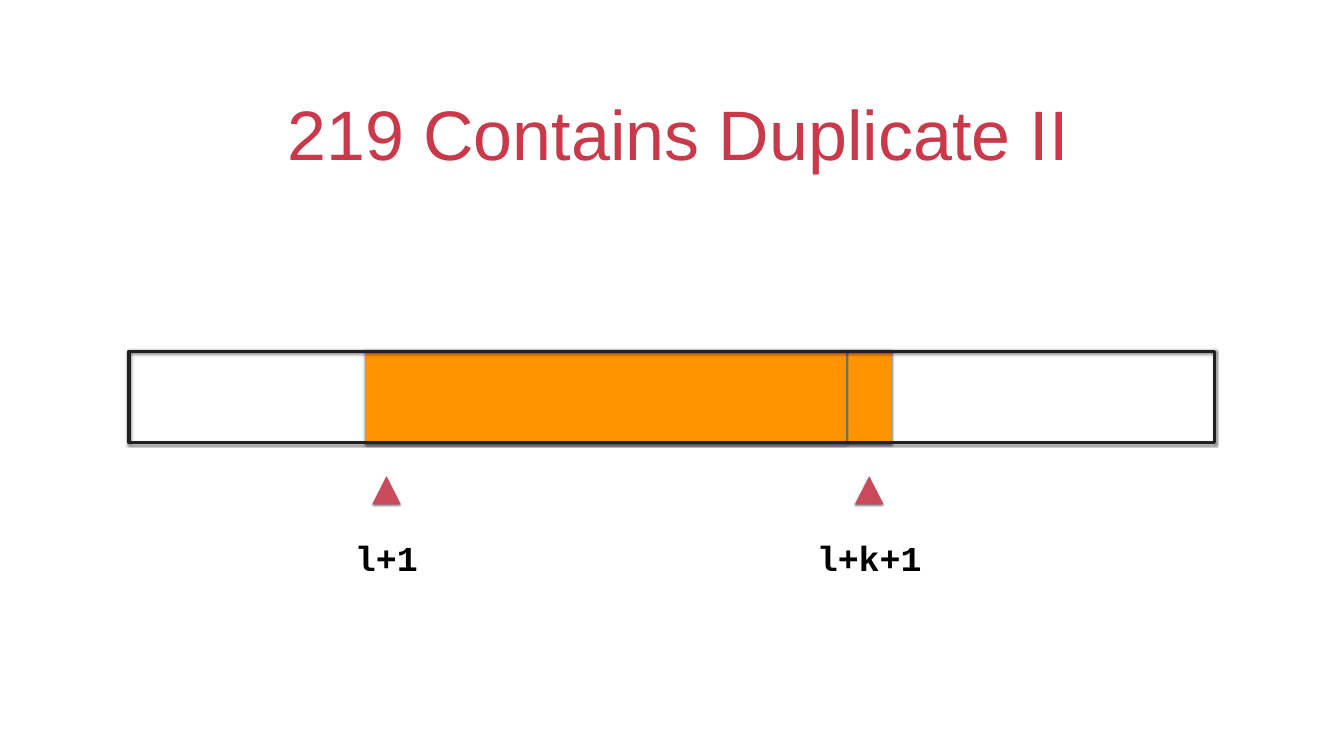
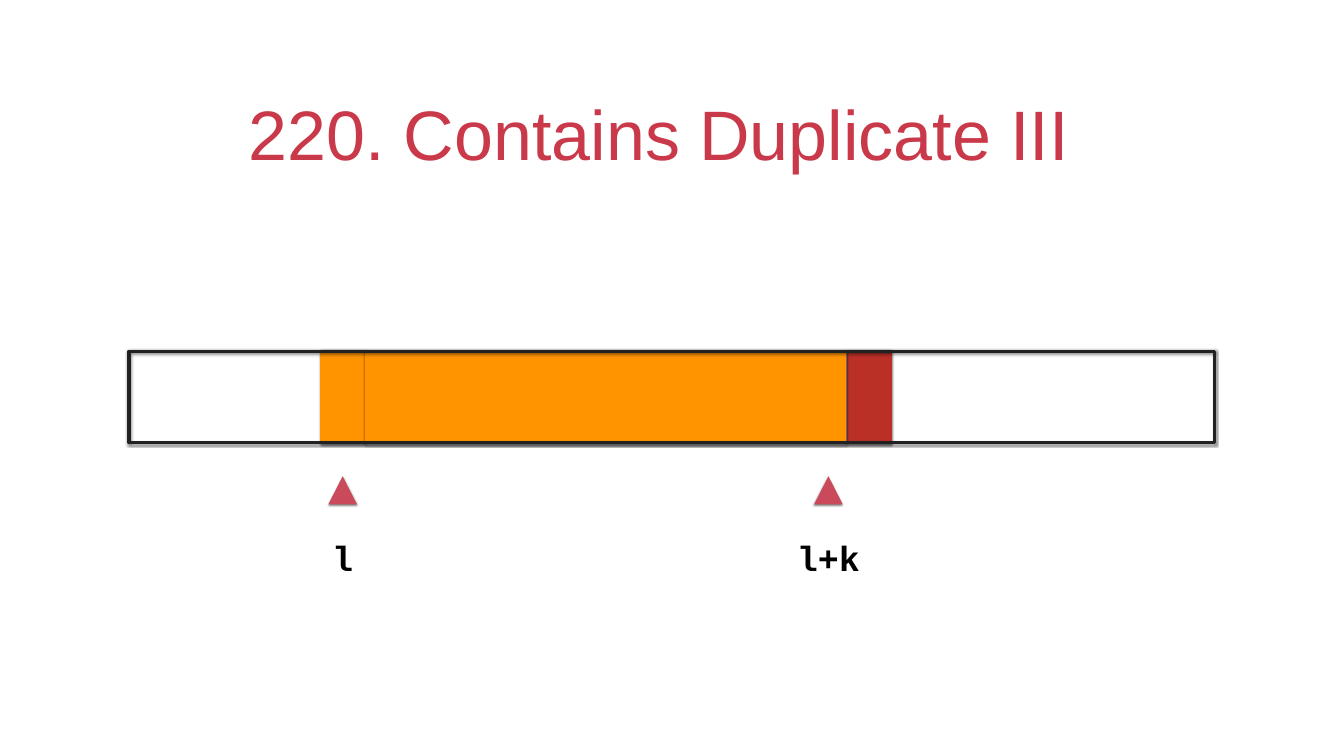
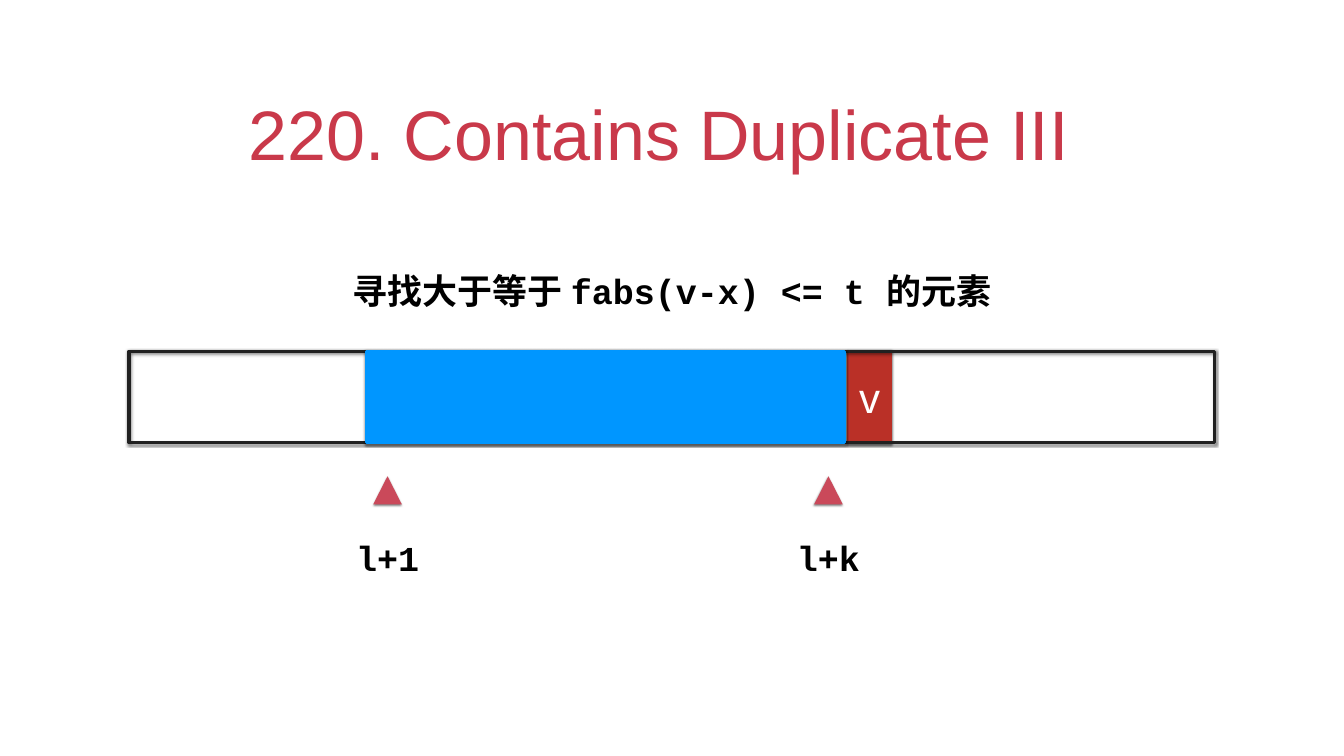
"""Build three sliding-window slides for the Contains Duplicate problems."""
from dataclasses import dataclass

from lxml import etree
from pptx import Presentation
from pptx.dml.color import RGBColor
from pptx.enum import shapes, text
from pptx.oxml import ns
from pptx.util import Inches, Pt


@dataclass(frozen=True)
class Theme:
    title: str = "C9394A"
    marker: str = "CA495A"
    frame: str = "212121"
    orange: str = "FF9300"
    red: str = "BA3027"
    blue: str = "0096FF"
    black: str = "000000"
    white: str = "FFFFFF"
    sans: str = "Arial"
    mono: str = "Courier New"
    title_size: int = 100
    value_size: int = 60
    label_size: int = 50
    line_width: int = 5
    inset: float = 0.06


theme = Theme()


def add_block(parent, kind, box, fill=None, line=None):
    """Add a preset shape with the shared soft shadow."""
    block = parent.add_shape(kind, *map(Inches, box))
    if fill:
        block.fill.solid()
        block.fill.fore_color.rgb = RGBColor.from_string(fill)
    else:
        block.fill.background()
    if line:
        block.line.color.rgb = RGBColor.from_string(line)
        block.line.width = Pt(theme.line_width)
    else:
        block.line.fill.background()
    block.shadow.inherit = False
    effects = block._element.spPr.find(ns.qn("a:effectLst"))
    shadow = etree.SubElement(effects, ns.qn("a:outerShdw"), blurRad=str(Pt(3)),
                              dist=str(Pt(2)), dir="5400000", rotWithShape="0")
    color = etree.SubElement(shadow, ns.qn("a:srgbClr"), val=theme.black)
    etree.SubElement(color, ns.qn("a:alpha"), val="50000")
    return block


def write(frame, words, font, size, color, bold=False, wrap=True,
          anchor=text.MSO_ANCHOR.MIDDLE, fit=text.MSO_AUTO_SIZE.NONE):
    """Fill a text frame with one centred paragraph."""
    frame.text = words
    frame.word_wrap = wrap
    frame.auto_size = fit
    frame.vertical_anchor = anchor
    frame.margin_left = frame.margin_right = Inches(theme.inset)
    frame.margin_top = frame.margin_bottom = Inches(theme.inset)
    paragraph = frame.paragraphs[0]
    paragraph.alignment = text.PP_ALIGN.CENTER
    run_font = paragraph.runs[0].font
    run_font.name, run_font.size, run_font.bold = font, Pt(size), bold
    run_font.color.rgb = RGBColor.from_string(color)


row_top, row_height = 6.97, 1.81
array_box = (2.56, row_top, 21.54, row_height)
leaving_box = (6.39, row_top, 0.83, row_height)
window_box = (7.27, row_top, 9.49, row_height)
entering_box = (16.84, row_top, 0.83, row_height)
title_left_inset = 0.31
pointer_width, pointer_height = 0.57, 0.56
character_width = 0.42

steps = [
    dict(title="219 Contains Duplicate II", right_inset=0.06,
         behind=[(entering_box, theme.orange, ""), (window_box, theme.orange, "")],
         pointers=[(7.67, "l+1"), (17.25, "l+k+1")], front=[], hint=""),
    dict(title="220. Contains Duplicate III", right_inset=0.83,
         behind=[(entering_box, theme.red, ""), (leaving_box, theme.orange, ""),
                 (window_box, theme.orange, "")],
         pointers=[(6.8, "l"), (16.44, "l+k")], front=[], hint=""),
    dict(title="220. Contains Duplicate III", right_inset=0.83,
         behind=[(entering_box, theme.red, "v")],
         pointers=[(7.69, "l+1"), (16.44, "l+k")],
         front=[(window_box, theme.blue, "")],
         hint="寻找大于等于 fabs(v-x) <= t 的元素"),
]

deck = Presentation()
deck.slide_width, deck.slide_height = Inches(26.67), Inches(15)

for step in steps:
    slide = deck.slides.add_slide(deck.slide_layouts[5])
    title = slide.shapes.title
    title.left, title.top = Inches(1.94), Inches(1.3)
    title.width, title.height = Inches(22.78), Inches(2.22)
    write(title.text_frame, step["title"], theme.sans, theme.title_size, theme.title,
          anchor=text.MSO_ANCHOR.BOTTOM)
    title.text_frame.margin_left = Inches(title_left_inset)
    title.text_frame.margin_right = Inches(step["right_inset"])

    array = (array_box, None, "")
    for box, color, value in [*step["behind"], array, *step["front"]]:
        cell = add_block(slide.shapes, shapes.MSO_SHAPE.RECTANGLE, box, color,
                         color or theme.frame)
        if value:
            write(cell.text_frame, value, theme.sans, theme.value_size, theme.white)

    for center, name in step["pointers"]:
        pointer = slide.shapes.add_group_shape().shapes
        add_block(pointer, shapes.MSO_SHAPE.ISOSCELES_TRIANGLE,
                  (center - pointer_width / 2, 9.45, pointer_width, pointer_height),
                  theme.marker)
        label_width = character_width * len(name) + 2 * theme.inset
        label = pointer.add_textbox(Inches(center - label_width / 2), Inches(10.61),
                                    Inches(label_width), Inches(0.92))
        write(label.text_frame, name, theme.mono, theme.label_size, theme.black,
              bold=True, wrap=False, fit=text.MSO_AUTO_SIZE.SHAPE_TO_FIT_TEXT)

    if step["hint"]:
        hint = slide.shapes.add_textbox(Inches(6.44), Inches(5.22),
                                        Inches(13.79), Inches(1.08))
        write(hint.text_frame, step["hint"], theme.mono, theme.label_size, theme.black,
              bold=True, fit=text.MSO_AUTO_SIZE.SHAPE_TO_FIT_TEXT)

deck.save("out.pptx")
